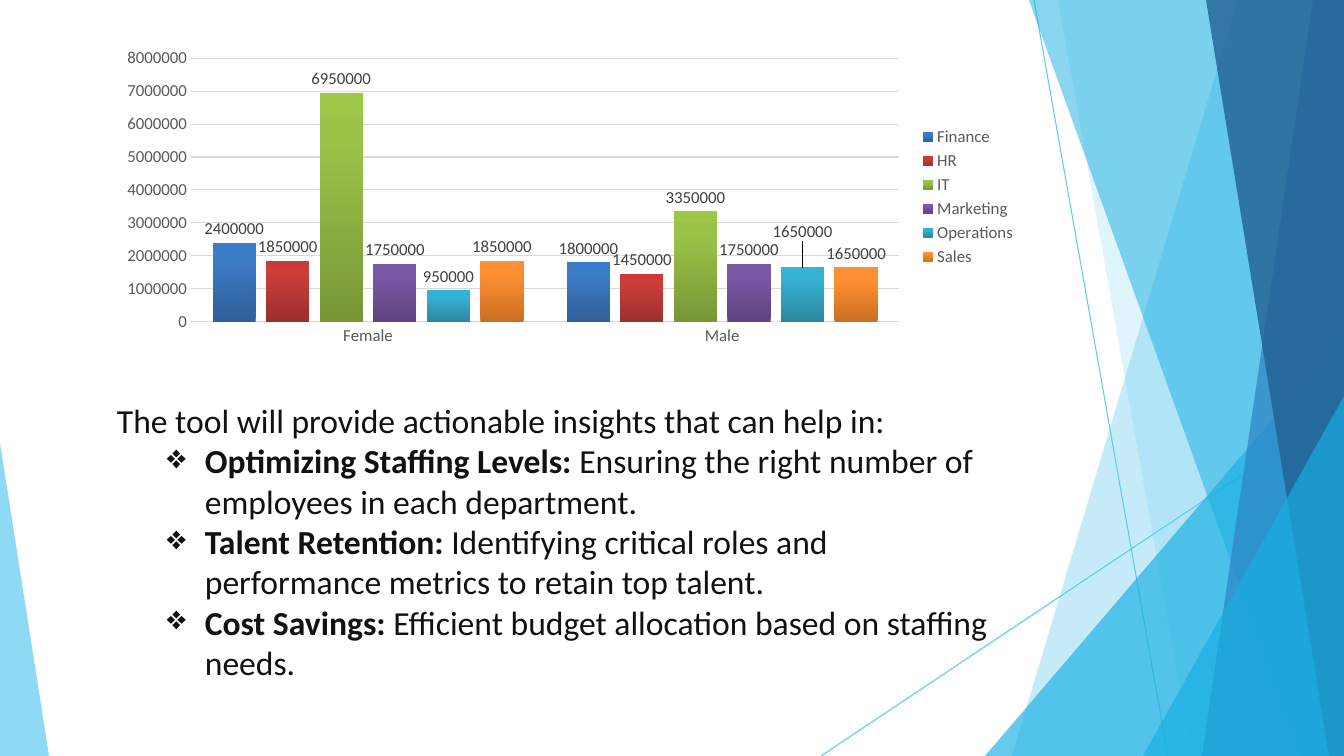
from lxml import etree
from pptx import Presentation
from pptx.chart.data import CategoryChartData
from pptx.dml.color import RGBColor
from pptx.enum.chart import XL_CHART_TYPE, XL_LABEL_POSITION, XL_LEGEND_POSITION, XL_TICK_MARK
from pptx.enum.shapes import MSO_CONNECTOR
from pptx.enum.text import MSO_ANCHOR, MSO_AUTO_SIZE, PP_ALIGN
from pptx.oxml.ns import qn
from pptx.util import Pt

CLUSTERED = XL_CHART_TYPE.COLUMN_CLUSTERED
OUTSIDE_END = XL_LABEL_POSITION.OUTSIDE_END
LEGEND_RIGHT = XL_LEGEND_POSITION.RIGHT
NO_TICK = XL_TICK_MARK.NONE
STRAIGHT = MSO_CONNECTOR.STRAIGHT
TOP = MSO_ANCHOR.TOP
LEFT = PP_ALIGN.LEFT
GROW = MSO_AUTO_SIZE.SHAPE_TO_FIT_TEXT

WIDTH, HEIGHT = 1344, 756
SCALE = 12192000 / WIDTH
SKY, AZURE, BLUE, NAVY = "5FCAEE", "17AFE3", "2D83C3", "226192"

RAYS = [((1034, 0), (1168, HEIGHT)), ((WIDTH, 407), (821, HEIGHT))]
RIGHT_FACETS = [
    ((1238, 0), 1012, SKY, 36),
    ((1058, 0), 1192, SKY, 20),
    ((WIDTH, 336), 985, AZURE, 66),
    ((1029, 0), 1301, AZURE, 50),
    ((1313, 0), 1202, BLUE, 70),
    ((1206, 0), 1329, NAVY, 80),
    ((WIDTH, 396), 1143, AZURE, 66),
]
GENDERS = ["Female", "Male"]
DEPARTMENTS = [
    ("Finance", (2400000, 1800000), ("2F5F99", "3D7CC7", "3A7CCB")),
    ("HR", (1850000, 1450000), ("9C2F2D", "CB3E3A", "CE3B37")),
    ("IT", (6950000, 3350000), ("779737", "9BC348", "9DC746")),
    ("Marketing", (1750000, 1750000), ("5F4480", "7B58A6", "7C57A8")),
    ("Operations", (950000, 1650000), ("2A88A2", "37B1D2", "34B4D6")),
    ("Sales", (1850000, 1650000), ("CC6E20", "FF9034", "FF9136")),
]
INTRO = "The tool will provide actionable insights that can help in:"
BENEFITS = [
    ("Optimizing Staffing Levels:", " Ensuring the right number of employees in each department."),
    ("Talent Retention:", " Identifying critical roles and performance metrics to retain top talent."),
    ("Cost Savings:", " Efficient budget allocation based on staffing needs."),
]


def px(length):
    return round(length * SCALE)


def rgb(color):
    return RGBColor.from_string(color)


class SlideBuilder:
    font = "Calibri"
    ink = "111111"
    axis_ink = "595959"
    label_ink = "404040"
    rule = "D9D9D9"

    def __init__(self, slide):
        self.slide = slide

    def style(self, font, size, color):
        font.name = self.font
        font.size = Pt(size)
        font.color.rgb = rgb(color)

    def ray(self, start, end):
        ray = self.slide.shapes.add_connector(STRAIGHT, *map(px, start + end))
        ray.line.color.rgb = rgb(SKY)
        ray.line.width = Pt(0.75)
        etree.SubElement(ray._element.spPr, qn("a:effectLst"))

    def facet(self, points, color, opacity):
        outline = self.slide.shapes.build_freeform(*points[0], scale=SCALE)
        outline.add_line_segments(points[1:], close=True)
        facet = outline.convert_to_shape()
        facet.shadow.inherit = False
        facet.line.fill.background()
        facet.fill.solid()
        facet.fill.fore_color.rgb = rgb(color)
        tint = facet._element.spPr.find(".//" + qn("a:srgbClr"))
        etree.SubElement(tint, qn("a:alpha"), val=str(opacity * 1000))

    def gradient(self, chart_format, colors):
        chart_format.fill.gradient()
        gradient = chart_format._element.spPr.find(qn("a:gradFill"))
        for child in list(gradient):
            gradient.remove(child)
        stops = etree.SubElement(gradient, qn("a:gsLst"))
        for position, color in zip((0, 80, 100), colors):
            stop = etree.SubElement(stops, qn("a:gs"), pos=str(position * 1000))
            etree.SubElement(stop, qn("a:srgbClr"), val=color)
        etree.SubElement(gradient, qn("a:lin"), ang=str(270 * 60000), scaled="0")

    def axis(self, axis):
        axis.major_tick_mark = axis.minor_tick_mark = NO_TICK
        self.style(axis.tick_labels.font, 12, self.axis_ink)

    def raise_label(self, series, index, shift):
        label = series.points[index].data_label
        self.style(label.font, 12, self.label_ink)
        label.position = OUTSIDE_END
        moved = series._element.find(".//" + qn("c:dLbl"))
        layout = etree.Element(qn("c:layout"))
        manual = etree.SubElement(layout, qn("c:manualLayout"))
        for axis, offset in zip("xy", shift):
            etree.SubElement(manual, qn("c:" + axis), val=str(offset))
        moved.insert(1, layout)

    def column_chart(self, box, categories, rows):
        data = CategoryChartData()
        data.categories = categories
        for name, values, _ in rows:
            data.add_series(name, values)
        chart = self.slide.shapes.add_chart(CLUSTERED, *map(px, box), data).chart
        self.style(chart.font, 10, "000000")
        chart.has_title = False
        chart.has_legend = True
        chart.legend.position = LEGEND_RIGHT
        chart.legend.include_in_layout = False
        self.style(chart.legend.font, 12, self.axis_ink)

        self.axis(chart.category_axis)
        chart.category_axis.format.line.color.rgb = rgb(self.rule)
        chart.category_axis.format.line.width = Pt(1)
        amounts = chart.value_axis
        self.axis(amounts)
        amounts.minimum_scale, amounts.maximum_scale = 0, 8000000
        amounts.major_unit = 1000000
        amounts.format.line.fill.background()
        amounts.major_gridlines.format.line.color.rgb = rgb(self.rule)
        amounts.major_gridlines.format.line.width = Pt(0.75)

        plot = chart.plots[0]
        plot.gap_width, plot.overlap = 100, -24
        plot.vary_by_categories = False
        for series, (_, _, colors) in zip(plot.series, rows):
            self.gradient(series.format, colors)
            series.invert_if_negative = False
            labels = series.data_labels
            labels.show_value = True
            labels.position = OUTSIDE_END
            self.style(labels.font, 12, self.label_ink)
        return plot

    def run(self, paragraph, text, bold=False):
        run = paragraph.add_run()
        run.text = text
        run.font.bold = bold
        self.style(run.font, 24, self.ink)

    def bullet_list(self, box, intro, items):
        frame = self.slide.shapes.add_textbox(*map(px, box)).text_frame
        frame.word_wrap = True
        frame.auto_size = GROW
        frame.vertical_anchor = TOP
        opening = frame.paragraphs[0]
        opening.alignment = LEFT
        self.run(opening, intro)
        for heading, detail in items:
            item = frame.add_paragraph()
            item.alignment = LEFT
            item.level = 1
            properties = item._p.get_or_add_pPr()
            properties.set("marL", str(px(88)))
            properties.set("indent", str(px(-38)))
            etree.SubElement(properties, qn("a:buChar"), char="❖")
            self.run(item, heading, bold=True)
            self.run(item, detail)


def main():
    deck = Presentation()
    deck.slide_width, deck.slide_height = px(WIDTH), px(HEIGHT)
    builder = SlideBuilder(deck.slides.add_slide(deck.slide_layouts[6]))
    for start, end in RAYS:
        builder.ray(start, end)
    for upper, foot, color, opacity in RIGHT_FACETS:
        corners = [(WIDTH, upper[1]), upper, (foot, HEIGHT), (WIDTH, HEIGHT)]
        builder.facet(list(dict.fromkeys(corners)), color, opacity)
    builder.facet([(0, 443), (0, HEIGHT), (49, HEIGHT)], SKY, 70)
    plot = builder.column_chart((109, 42, 918, 310), GENDERS, DEPARTMENTS)
    builder.raise_label(plot.series[4], 1, (0, -0.07))
    builder.bullet_list((107, 395, 899, 295), INTRO, BENEFITS)
    deck.save("out.pptx")


if __name__ == "__main__":
    main()
